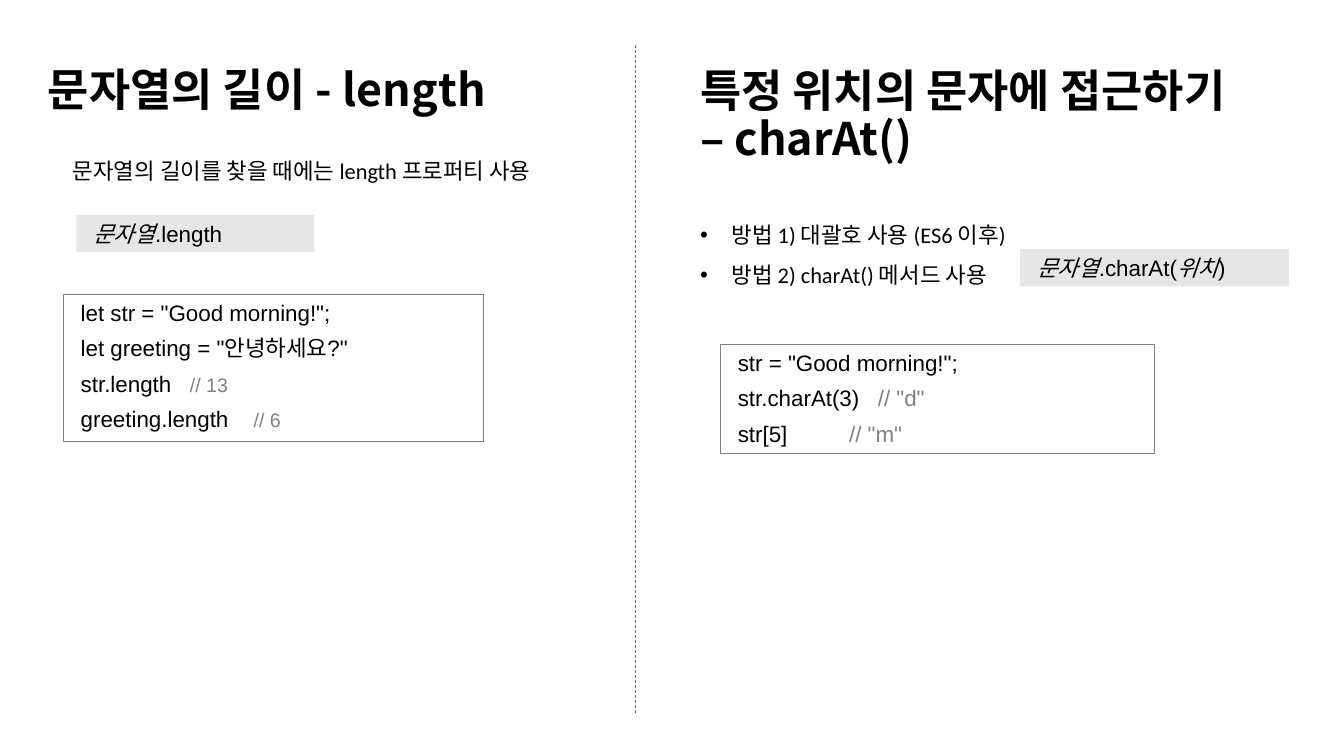
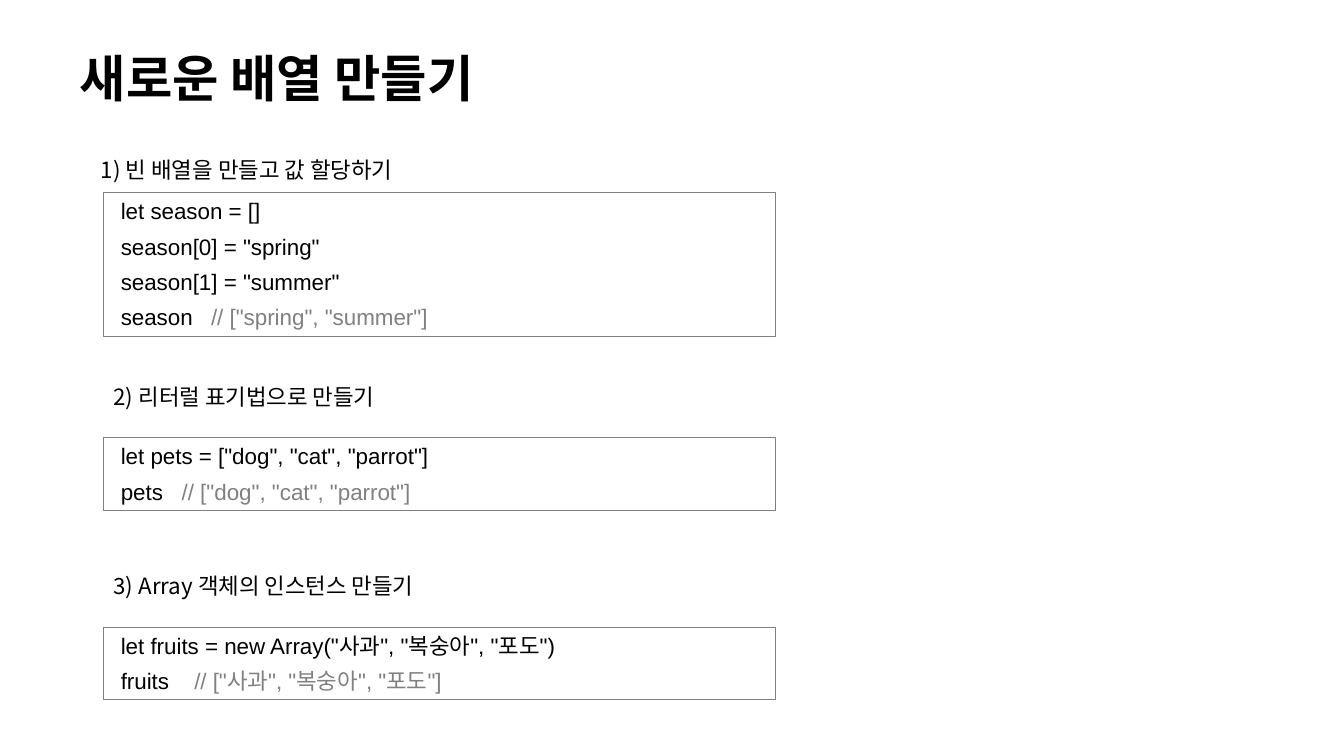
from lxml import etree
from pptx import Presentation
from pptx.dml.color import RGBColor
from pptx.enum import dml, shapes, text
from pptx.oxml import ns
from pptx.util import Pt

BLACK, GRAY, PALE, BLUE = "000000", "808080", "E7E6E6", "4472C4"
KOREAN, BODY, CODE = "Noto Sans CJK KR", "Calibri", "Arial"
BODY_SIZE = 16
CODE_INSET = 12.24


def rgb(hex_color):
    return RGBColor.from_string(hex_color)


def add_xml(parent, tag, **attributes):
    return etree.SubElement(parent, ns.qn(tag), attributes)


def add_run(paragraph, words, font, size=BODY_SIZE, color=BLACK, bold=False, italic=False):
    run = paragraph.add_run()
    run.text = words
    run.font.name = font
    run.font.size = Pt(size)
    run.font.bold = bold
    run.font.italic = italic
    run.font.color.rgb = rgb(color)
    add_xml(run.font._element, "a:ea", typeface=KOREAN)


def new_paragraphs(frame, count):
    return [frame.paragraphs[0]] + [frame.add_paragraph() for _ in range(count - 1)]


def place(shape, left, top, width, height):
    shape.left, shape.top = Pt(left), Pt(top)
    shape.width, shape.height = Pt(width), Pt(height)


def add_label(slide, box, font):
    """Return the frame and a one-line writer's defaults for plain body text."""
    frame = slide.shapes.add_textbox(*map(Pt, box)).text_frame
    frame.word_wrap = True
    frame.auto_size = text.MSO_AUTO_SIZE.SHAPE_TO_FIT_TEXT
    return frame


def add_text(slide, box, words, font, align=text.PP_ALIGN.LEFT):
    paragraph = add_label(slide, box, font).paragraphs[0]
    paragraph.alignment = align
    add_run(paragraph, words, font)


def add_bullets(slide, box, items):
    frame = add_label(slide, box, BODY)
    for paragraph, item in zip(new_paragraphs(frame, len(items)), items):
        paragraph.alignment = text.PP_ALIGN.JUSTIFY
        paragraph.line_spacing = 1.5
        properties = paragraph._p.get_or_add_pPr()
        properties.set("marL", str(Pt(22.5)))
        properties.set("indent", str(-Pt(22.5)))
        add_xml(properties, "a:buFont", typeface=CODE)
        add_xml(properties, "a:buChar", char="•")
        add_run(paragraph, item, BODY)


def write_heading(frame, lines, size):
    frame.word_wrap = True
    frame.auto_size = text.MSO_AUTO_SIZE.NONE
    frame.vertical_anchor = text.MSO_ANCHOR.MIDDLE
    for paragraph, line in zip(new_paragraphs(frame, len(lines)), lines):
        paragraph.alignment = text.PP_ALIGN.LEFT
        paragraph.line_spacing = 0.9
        add_run(paragraph, line, KOREAN, size, bold=True)


def add_titled_slide(prs, title, box, size):
    slide = prs.slides.add_slide(prs.slide_layouts[5])
    place(slide.shapes.title, *box)
    write_heading(slide.shapes.title.text_frame, [title], size)
    return slide


def add_code_panel(slide, box, line_count, fill=None):
    """Draw a filled or outlined panel and return its paragraphs."""
    panel = slide.shapes.add_shape(shapes.MSO_SHAPE.RECTANGLE, *map(Pt, box))
    panel.shadow.inherit = False
    if fill:
        panel.fill.solid()
        panel.fill.fore_color.rgb = rgb(fill)
        panel.line.fill.background()
    else:
        panel.fill.background()
        panel.line.color.rgb = rgb(GRAY)
        panel.line.width = Pt(0.75)
    frame = panel.text_frame
    frame.word_wrap = True
    frame.auto_size = text.MSO_AUTO_SIZE.SHAPE_TO_FIT_TEXT
    frame.vertical_anchor = text.MSO_ANCHOR.TOP
    frame.margin_left = Pt(CODE_INSET)
    paragraphs = new_paragraphs(frame, line_count)
    for paragraph in paragraphs:
        paragraph.alignment = text.PP_ALIGN.LEFT
        paragraph.space_before = paragraph.space_after = Pt(3)
    return paragraphs


def add_syntax(slide, box, parts):
    """Show a syntax pattern from (words, is_placeholder) pairs."""
    paragraph = add_code_panel(slide, box, 1, PALE)[0]
    for words, is_placeholder in parts:
        add_run(paragraph, words, CODE, italic=is_placeholder)


def add_code(slide, box, lines, comment_size=BODY_SIZE):
    """Show code lines; a line may be (code, comment, comment position)."""
    for paragraph, line in zip(add_code_panel(slide, box, len(lines)), lines):
        if isinstance(line, str):
            add_run(paragraph, line, CODE)
            continue
        code, comment, position = line
        tabs = add_xml(paragraph._p.get_or_add_pPr(), "a:tabLst")
        add_xml(tabs, "a:tab", pos=str(Pt(position)), algn="l")
        add_run(paragraph, code + "\t", CODE)
        add_run(paragraph, comment, CODE, comment_size, GRAY)


def add_divider(slide, x, top, bottom):
    divider = slide.shapes.add_connector(
        shapes.MSO_CONNECTOR.STRAIGHT, Pt(x), Pt(top), Pt(x), Pt(bottom))
    divider.line.color.rgb = rgb(BLUE)
    divider.line.width = Pt(0.5)
    divider.line.dash_style = dml.MSO_LINE.DASH
    add_xml(divider._element.spPr, "a:effectLst")


def build_string_slide(prs):
    slide = add_titled_slide(prs, "문자열의 길이 - length", (27, 32.4, 403, 66), 32)
    add_text(slide, (45, 109, 386, 26.6), "문자열의 길이를 찾을 때에는 length 프로퍼티 사용",
             BODY, text.PP_ALIGN.JUSTIFY)
    add_syntax(slide, (54.5, 153.5, 170, 26.6), [("문자열", True), (".length", False)])
    add_code(slide, (45.4, 210.2, 300, 105), [
        'let str = "Good morning!";',
        'let greeting = "안녕하세요?"',
        ("str.length", "// 13", 78),
        ("greeting.length", "// 6", 123.5),
    ], comment_size=14)

    heading = slide.shapes.add_textbox(*map(Pt, (493, 29.5, 460, 108)))
    write_heading(heading.text_frame, ["특정 위치의 문자에 접근하기", "– charAt()"], 32)
    add_bullets(slide, (493, 144.7, 346, 62), [
        "방법 1) 대괄호 사용 (ES6 이후)",
        "방법 2) charAt() 메서드 사용",
    ])
    add_syntax(slide, (728.6, 178, 192, 26.6),
               [("문자열", True), (".charAt(", False), ("위치", True), (")", False)])
    add_code(slide, (514.8, 246, 310, 78), [
        'str = "Good morning!";',
        ("str.charAt(3)", '// "d"', 100),
        ("str[5]", '// "m"', 79.5),
    ])
    add_divider(slide, 453.5, 32.4, 510.5)


def build_array_slide(prs):
    slide = add_titled_slide(prs, "새로운 배열 만들기", (49.7, 25, 701, 66), 36)
    methods = [
        (65, 108, "1) 빈 배열을 만들고 값 할당하기", 137.5, 103, [
            "let season = []",
            'season[0] = "spring"',
            'season[1] = "summer"',
            ("season", '// ["spring", "summer"]', 64.5),
        ]),
        (74, 270, "2) 리터럴 표기법으로 만들기", 312.5, 52, [
            'let pets = ["dog", "cat", "parrot"]',
            ("pets", '// ["dog", "cat", "parrot"]', 43.5),
        ]),
        (74, 405.5, "3) Array 객체의 인스턴스 만들기", 448, 52, [
            'let fruits = new Array("사과", "복숭아", "포도")',
            ("fruits", '// ["사과", "복숭아", "포도"]', 52.5),
        ]),
    ]
    for label_left, label_top, label, code_top, code_height, lines in methods:
        add_text(slide, (label_left, label_top, 639, 26.6), label, KOREAN)
        add_code(slide, (74, code_top, 480, code_height), lines)


def main():
    prs = Presentation()
    prs.slide_width, prs.slide_height = Pt(960), Pt(540)
    build_string_slide(prs)
    build_array_slide(prs)
    prs.save("out.pptx")


if __name__ == "__main__":
    main()
